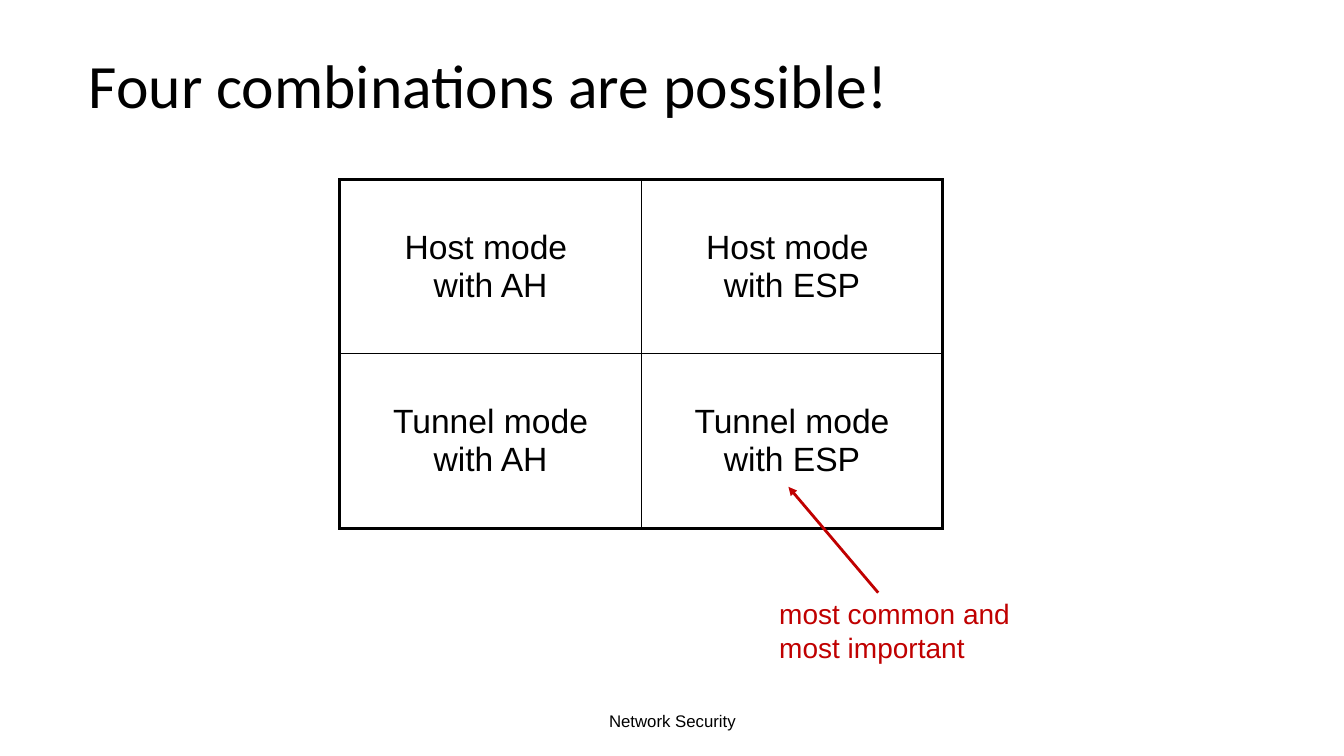
from dataclasses import dataclass

from lxml import etree
from pptx import Presentation
from pptx.dml.color import RGBColor
from pptx.enum.shapes import MSO_CONNECTOR
from pptx.enum.text import MSO_ANCHOR, PP_ALIGN
from pptx.oxml import parse_xml
from pptx.oxml.ns import nsdecls, qn
from pptx.util import Inches, Pt


@dataclass(frozen=True)
class Theme:
    ink: str = "000000"
    accent: str = "C00000"
    title_font: str = "Calibri"
    body_font: str = "Arial"
    title_size: int = 44
    cell_size: int = 24
    callout_size: int = 20
    footer_size: int = 12
    outer_border: float = 2.25
    inner_border: float = 1
    arrow_width: float = 2


THEME = Theme()
MODES = [
    ["Host mode \vwith AH", "Host mode \vwith ESP"],
    ["Tunnel mode\vwith AH", "Tunnel mode\vwith ESP"],
]


def style(paragraph, size, color=THEME.ink, name=THEME.body_font, align=PP_ALIGN.LEFT):
    paragraph.alignment = align
    paragraph.font.size = Pt(size)
    paragraph.font.name = name
    paragraph.font.color.rgb = RGBColor.from_string(color)


def place(shape, left, top, width, height):
    shape.left, shape.top = Inches(left), Inches(top)
    shape.width, shape.height = Inches(width), Inches(height)


def add_title(slide, text):
    title = slide.shapes.title
    place(title, 0.78, 0.25, 11.33, 1.25)
    frame = title.text_frame
    frame.text = text
    frame.vertical_anchor = MSO_ANCHOR.MIDDLE
    heading = frame.paragraphs[0]
    heading.line_spacing = 0.9
    style(heading, THEME.title_size, name=THEME.title_font)


def add_text(slide, text, box, size, wrap=True, anchor=MSO_ANCHOR.TOP, **look):
    frame = slide.shapes.add_textbox(*map(Inches, box)).text_frame
    frame.word_wrap = wrap
    frame.vertical_anchor = anchor
    frame.text = text
    style(frame.paragraphs[0], size, **look)


def set_borders(cell, widths):
    """Draw the cell's borders; widths are points for left, right, top, bottom."""
    properties = cell._tc.get_or_add_tcPr()
    for position, (side, width) in enumerate(zip("LRTB", widths)):
        properties.insert(position, parse_xml(
            f'<a:ln{side} {nsdecls("a")} w="{Pt(width)}"><a:solidFill>'
            f'<a:srgbClr val="{THEME.ink}"/></a:solidFill></a:ln{side}>'))


def add_grid(slide, rows, left, top, column_width, row_height):
    row_count, column_count = len(rows), len(rows[0])
    grid = slide.shapes.add_table(
        row_count, column_count, Inches(left), Inches(top),
        Inches(column_width * column_count), Inches(row_height * row_count)).table
    grid.first_row = grid.horz_banding = False
    for r, row in enumerate(rows):
        for c, text in enumerate(row):
            cell = grid.cell(r, c)
            cell.fill.background()
            cell.vertical_anchor = MSO_ANCHOR.MIDDLE
            cell.text = text
            style(cell.text_frame.paragraphs[0], THEME.cell_size, align=PP_ALIGN.CENTER)
            on_edge = (c == 0, c == column_count - 1, r == 0, r == row_count - 1)
            set_borders(cell, [THEME.outer_border if edge else THEME.inner_border
                               for edge in on_edge])


def add_arrow(slide, start, end):
    arrow = slide.shapes.add_connector(
        MSO_CONNECTOR.STRAIGHT, *map(Inches, (*start, *end)))
    arrow.line.color.rgb = RGBColor.from_string(THEME.accent)
    arrow.line.width = Pt(THEME.arrow_width)
    etree.SubElement(arrow.line._get_or_add_ln(), qn("a:tailEnd"), type="triangle")
    etree.SubElement(arrow._element.spPr, qn("a:effectLst"))


def main():
    deck = Presentation()
    deck.slide_width, deck.slide_height = Inches(13.33), Inches(7.5)
    slide = deck.slides.add_slide(deck.slide_layouts.get_by_name("Title Only"))

    add_title(slide, "Four combinations are possible!")
    add_grid(slide, MODES, 3.37, 1.78, 2.99, 1.73)
    add_arrow(slide, (8.71, 5.88), (7.82, 4.83))
    add_text(slide, "most common and\vmost important", (7.63, 5.87, 2.51, 0.77),
             THEME.callout_size, wrap=False, color=THEME.accent)
    add_text(slide, "Network Security", (4.42, 6.95, 4.5, 0.4), THEME.footer_size,
             anchor=MSO_ANCHOR.MIDDLE, align=PP_ALIGN.CENTER)

    deck.save("out.pptx")


if __name__ == "__main__":
    main()
